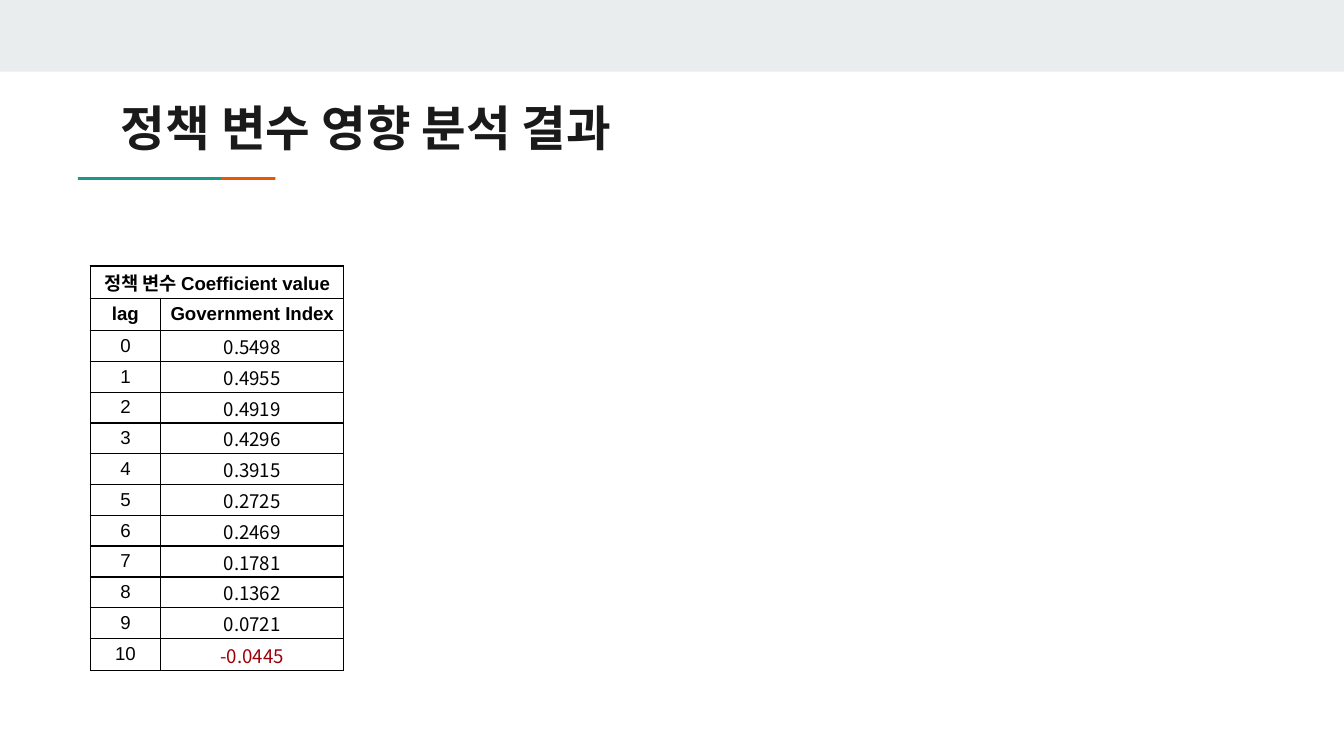
"""Build a slide with a table of policy variable coefficients by lag."""
from typing import NamedTuple

from lxml import etree
from pptx import Presentation
from pptx.dml.color import RGBColor
from pptx.enum.shapes import MSO_SHAPE
from pptx.enum.text import MSO_ANCHOR, PP_ALIGN
from pptx.oxml.ns import qn
from pptx.util import Pt

RECT = MSO_SHAPE.RECTANGLE
MIDDLE = MSO_ANCHOR.MIDDLE
LEFT, CENTER = PP_ALIGN.LEFT, PP_ALIGN.CENTER

PALE = RGBColor(0xE9, 0xED, 0xEE)
TEAL = RGBColor(0x1A, 0x99, 0x88)
ORANGE = RGBColor(0xEB, 0x56, 0x00)
INK = RGBColor(0x1A, 0x1A, 0x1A)
BLACK = RGBColor(0, 0, 0)
RED = RGBColor(0x9C, 0x00, 0x06)

KOREAN = "Noto Sans CJK KR"


class Bar(NamedTuple):
    left: float
    top: float
    width: float
    height: float
    color: RGBColor
    rotation: float = 0


class Style(NamedTuple):
    font: str
    size: float
    bold: bool
    color: RGBColor


BARS = [
    Bar(0, 0, 720, 38.4, PALE),
    Bar(108.5, 57.3, 1.6, 76.6, ORANGE, 270),
    Bar(79.3, 57.3, 1.6, 76.6, TEAL, 270),
]
TITLE = Style("Manrope", 26, True, INK)
HEADER = Style("Arial", 10, True, BLACK)
LAG = Style("Arial", 10, False, BLACK)
VALUE = Style(KOREAN, 10, False, BLACK)
NEGATIVE = VALUE._replace(color=RED)

HEADINGS = ["정책 변수 Coefficient value", "lag", "Government Index"]
COEFFICIENTS = [
    "0.5498", "0.4955", "0.4919", "0.4296", "0.3915", "0.2725",
    "0.2469", "0.1781", "0.1362", "0.0721", "-0.0445",
]
COLUMN_WIDTHS = [37.6, 98.2]
ROW_HEIGHTS = [17.3] * 2 + [16.5] * 10 + [17.2]


def add_bar(s, bar: Bar) -> None:
    sp = s.shapes.add_shape(RECT, *map(Pt, bar[:4]))
    sp.rotation = bar.rotation
    sp.shadow.inherit = False
    sp.fill.solid()
    sp.fill.fore_color.rgb = bar.color
    sp.line.fill.background()


def write(tf, text: str, style: Style, align) -> None:
    p = tf.paragraphs[0]
    p.alignment = align
    r = p.add_run()
    r.text = text
    formats = {"name": style.font, "size": Pt(style.size), "bold": style.bold}
    for key, value in formats.items():
        setattr(r.font, key, value)
    r.font.color.rgb = style.color
    etree.SubElement(r.font._element, qn("a:ea"), typeface=KOREAN)


def add_title(s, text: str) -> None:
    tf = s.shapes.add_textbox(Pt(57.6), Pt(47), Pt(605.5), Pt(42.5)).text_frame
    formats = {"word_wrap": True, "vertical_anchor": MIDDLE}
    formats |= {f"margin_{side}": Pt(7.2) for side in ("left", "right", "top", "bottom")}
    for key, value in formats.items():
        setattr(tf, key, value)
    write(tf, text, TITLE, LEFT)


def add_borders(cell) -> None:
    tc_pr = cell._tc.get_or_add_tcPr()
    for side in "LRTB":
        ln = etree.SubElement(tc_pr, qn(f"a:ln{side}"), w=str(Pt(0.75)))
        fill = etree.SubElement(ln, qn("a:solidFill"))
        etree.SubElement(fill, qn("a:srgbClr"), val=str(BLACK))


def fill_cell(cell, text: str, style: Style) -> None:
    pad = 0.7 if style.font == KOREAN else 0
    formats = {
        "vertical_anchor": MIDDLE,
        "margin_left": Pt(pad),
        "margin_right": Pt(pad),
        "margin_top": Pt(pad),
        "margin_bottom": Pt(0),
    }
    for key, value in formats.items():
        setattr(cell, key, value)
    write(cell.text_frame, text, style, CENTER)


def add_coefficients(s) -> None:
    frame = s.shapes.add_table(
        len(ROW_HEIGHTS), len(COLUMN_WIDTHS), Pt(48.4), Pt(142.5),
        Pt(sum(COLUMN_WIDTHS)), Pt(sum(ROW_HEIGHTS)),
    )
    table = frame.table
    for column, width in zip(table.columns, COLUMN_WIDTHS):
        column.width = Pt(width)
    for row, height in zip(table.rows, ROW_HEIGHTS):
        row.height = Pt(height)
    for cell in table.iter_cells():
        add_borders(cell)
        cell.fill.background()
    table.cell(0, 0).merge(table.cell(0, 1))
    for (row, column), text in zip([(0, 0), (1, 0), (1, 1)], HEADINGS):
        fill_cell(table.cell(row, column), text, HEADER)
    for lag, value in enumerate(COEFFICIENTS):
        fill_cell(table.cell(lag + 2, 0), str(lag), LAG)
        style = NEGATIVE if float(value) < 0 else VALUE
        fill_cell(table.cell(lag + 2, 1), value, style)


def main() -> None:
    prs = Presentation()
    prs.slide_width, prs.slide_height = Pt(720), Pt(405)
    s = prs.slides.add_slide(prs.slide_layouts[6])
    for bar in BARS:
        add_bar(s, bar)
    add_title(s, "정책 변수 영향 분석 결과")
    add_coefficients(s)
    prs.save("out.pptx")


if __name__ == "__main__":
    main()
